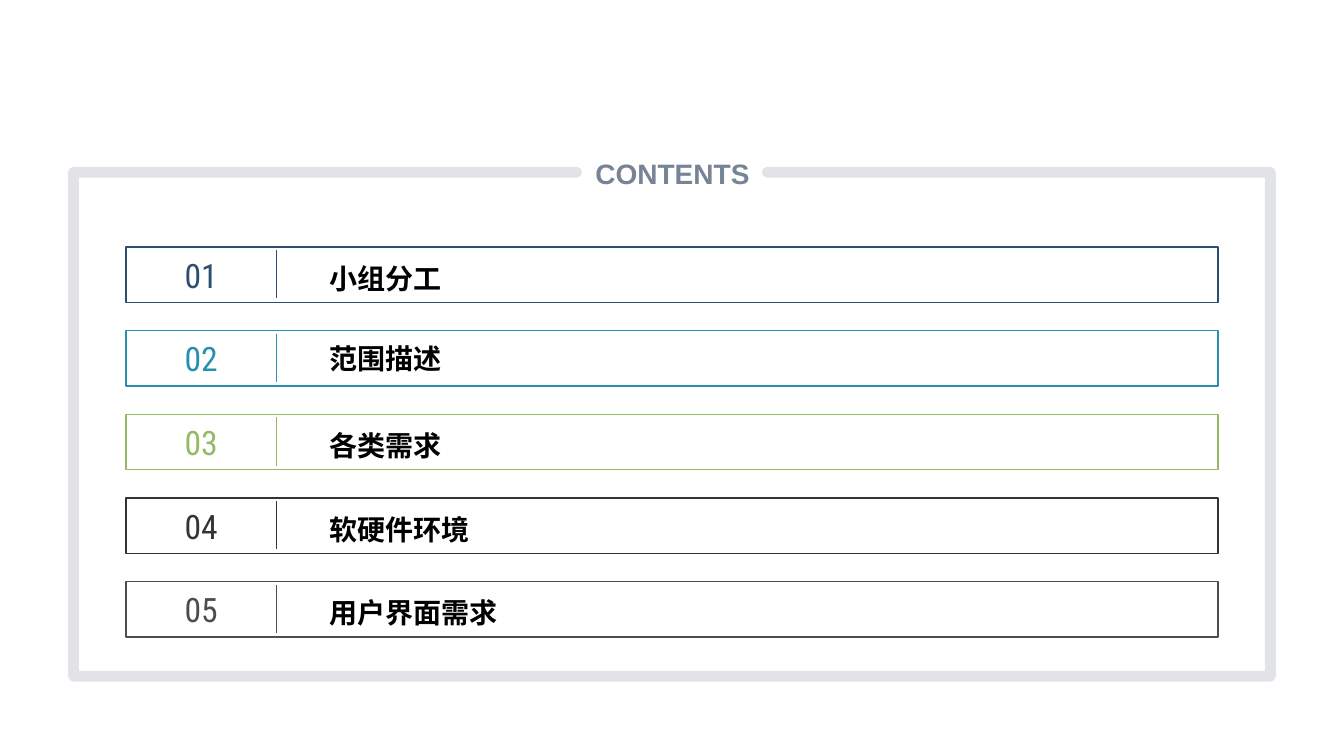
from lxml import etree
from pptx import Presentation
from pptx import util as u
from pptx.dml.color import RGBColor
from pptx.enum import shapes, text
from pptx.oxml import ns

PX = 9144  # EMU per px, 100 px to the inch
SLATE = RGBColor(0x77, 0x84, 0x95)
BLACK = RGBColor(0, 0, 0)
NAVY = RGBColor(0x2B, 0x4E, 0x72)
TEAL = RGBColor(0x27, 0x90, 0xB0)
GREEN = RGBColor(0x94, 0xBA, 0x65)
COAL = RGBColor(0x35, 0x34, 0x32)
GREY = RGBColor(0x4E, 0x4D, 0x4A)


def px(*sizes):
    return [u.Emu(size * PX) for size in sizes]


def write(box, words, align, color, spacing=None, **font):
    frame = box.text_frame
    frame.text = words
    frame.word_wrap = True
    frame.auto_size = text.MSO_AUTO_SIZE.NONE
    frame.vertical_anchor = text.MSO_ANCHOR.MIDDLE
    line = frame.paragraphs[0]
    line.alignment = align
    line.line_spacing = spacing
    run = line.runs[0]
    run.font.color.rgb = color
    for name, value in font.items():
        setattr(run.font, name, value)


prs = Presentation()
prs.slide_width, prs.slide_height = px(1333, 750)
slide = prs.slides.add_slide(prs.slide_layouts[5])
items = slide.shapes
head = {"name": "Arial", "size": u.Pt(20), "bold": True}
digit = {"name": "Roboto Condensed", "size": u.Pt(24)}

# Title set in the gap of the frame
title = items.title
title.left, title.top, title.width, title.height = px(581, 138, 172, 67)
write(title, "CONTENTS", text.PP_ALIGN.CENTER, SLATE, **head)
for side in ("left", "top", "right", "bottom"):
    setattr(title.text_frame, "margin_" + side, 0)

# Open frame with a pale, round-ended line
path = items.build_freeform(761, 171, PX)
path.add_line_segments(
    [(1260, 171), (1260, 671), (73, 671), (73, 171), (572, 171)], close=False)
frame = path.convert_to_shape()
frame.shadow.inherit = False
frame.fill.background()
frame.line.color.rgb = SLATE
frame.line.width = u.Pt(7.75)
stroke = frame.line._get_or_add_ln()
stroke.set("cap", "rnd")
tint = stroke.find(".//" + ns.qn("a:srgbClr"))
etree.SubElement(tint, ns.qn("a:alpha"), val="21000")
etree.SubElement(stroke, ns.qn("a:round"))

# Contents rows: topic, colour, line spacing
rows = [
    ("小组分工", NAVY, 1.2),
    ("范围描述", TEAL, None),
    ("各类需求", GREEN, 1.2),
    ("软硬件环境", COAL, 1.2),
    ("用户界面需求", GREY, 1.2),
]
for i, (topic, color, spacing) in enumerate(rows):
    top = 245 + 83 * i

    # Outline
    bar = items.add_shape(shapes.MSO_SHAPE.RECTANGLE, *px(125, top, 1083, 55))
    bar.shadow.inherit = False
    bar.fill.background()

    # Divider
    rule = items.add_connector(
        shapes.MSO_CONNECTOR.STRAIGHT, *px(274, top + 3, 274, top + 51))
    etree.SubElement(rule._element.spPr, ns.qn("a:effectLst"))
    for item in (bar, rule):
        item.line.color.rgb = color
        item.line.width = u.Pt(1)

    # Number and topic
    num = items.add_textbox(*px(125, top, 149, 55))
    write(num, f"{i + 1:02}", text.PP_ALIGN.CENTER, color, **digit)
    label = items.add_textbox(*px(317, top, 891, 55))
    write(label, topic, text.PP_ALIGN.LEFT, BLACK, spacing, **head)

prs.save("out.pptx")
